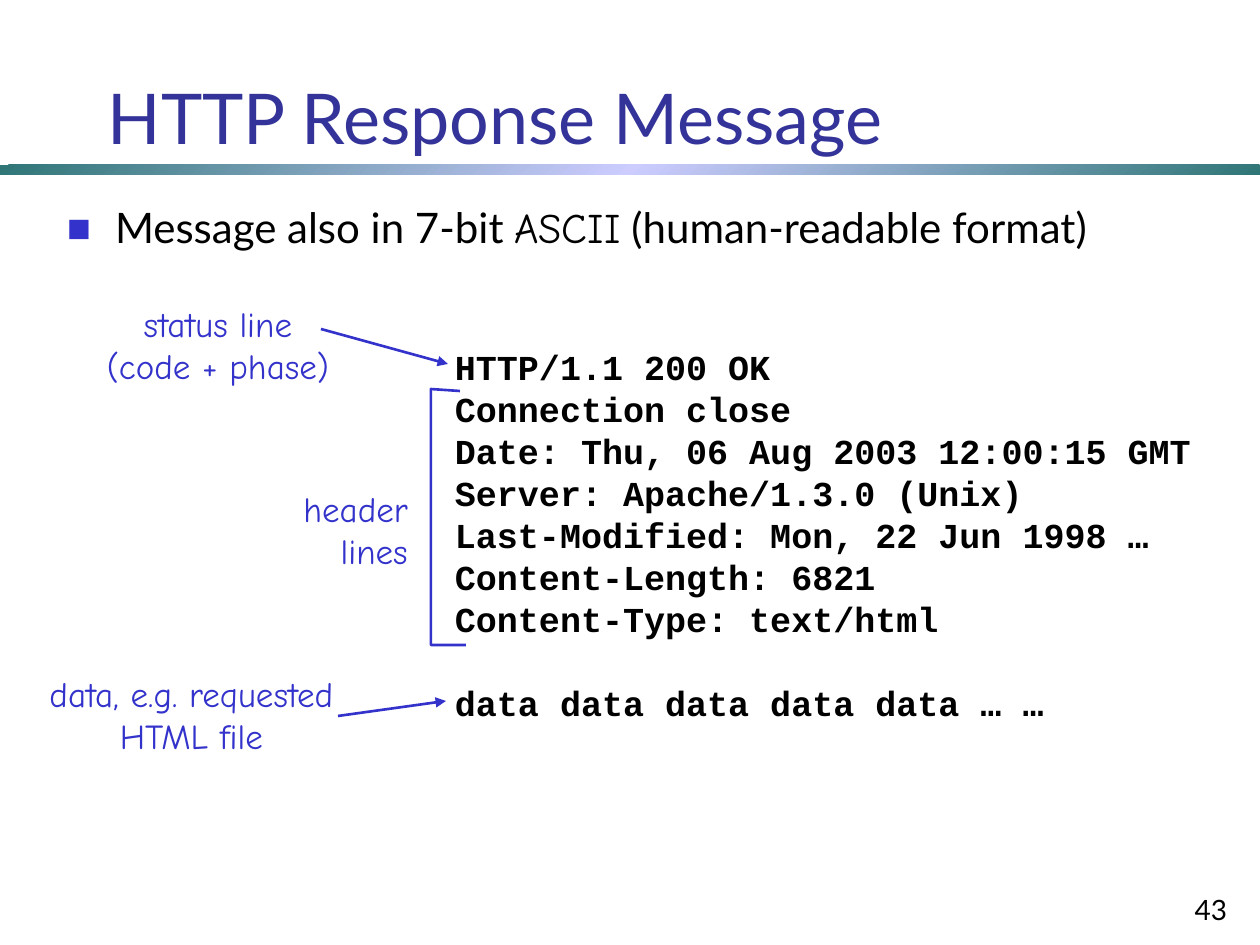
"""Build the slide that explains the parts of an HTTP response message."""
from copy import deepcopy

from lxml import etree
from pptx import Presentation
from pptx.dml.color import RGBColor
from pptx.enum.shapes import MSO_CONNECTOR, MSO_SHAPE
from pptx.enum.text import MSO_ANCHOR, PP_ALIGN
from pptx.oxml.ns import qn
from pptx.util import Emu, Pt

LEFT, CENTER, RIGHT = PP_ALIGN.LEFT, PP_ALIGN.CENTER, PP_ALIGN.RIGHT
TOP, BOTTOM = MSO_ANCHOR.TOP, MSO_ANCHOR.BOTTOM
RECTANGLE, STRAIGHT = MSO_SHAPE.RECTANGLE, MSO_CONNECTOR.STRAIGHT
PX = 914400 // 126
BLUE = "3333CC"

deck = Presentation()
deck.slide_width, deck.slide_height = Emu(9144000), Emu(6858000)
page = deck.slides.add_slide(deck.slide_layouts[6])


def color(value):
    return RGBColor.from_string(value)


def add_text(lines, place, font="Lato", size=20, ink="000000", bold=False,
             align=LEFT, anchor=TOP, wrap=True, inset=13, leading=None):
    """Add a text box; each line is a list of (text, font) pairs or a string."""
    box = page.shapes.add_textbox(*(Emu(value * PX) for value in place))
    frame = box.text_frame
    frame.word_wrap, frame.vertical_anchor = wrap, anchor
    frame.margin_left = frame.margin_right = Emu(inset * PX)
    for index, line in enumerate(lines):
        para = frame.paragraphs[0] if index == 0 else frame.add_paragraph()
        para.alignment = align
        if leading:
            para.line_spacing = Pt(leading)
        for text, face in [(line, font)] if isinstance(line, str) else line:
            span = para.add_run()
            span.text = text
            span.font.name, span.font.size = face, Pt(size)
            span.font.bold, span.font.color.rgb = bold, color(ink)
    return frame


bar = page.shapes.add_shape(RECTANGLE, 0, Emu(165 * PX), deck.slide_width, Emu(10 * PX))
bar.shadow.inherit = False
bar.line.fill.background()
bar.fill.gradient()
bar.fill.gradient_angle = 315
stop_list = bar._element.spPr.find(".//" + qn("a:gsLst"))
stop_list.append(deepcopy(stop_list[-1]))
for stop, position, shade in zip(bar.fill.gradient_stops, (0, 0.5, 1),
                                 ("2F7676", "CCCCFF", "2F7676")):
    stop.position, stop.color.rgb = position, color(shade)

add_text(["43"], (978, 869, 262, 63), size=16, align=RIGHT, anchor=BOTTOM)
add_text(["HTTP Response Message"], (95, 45, 1165, 120), size=40, ink="333399", anchor=BOTTOM)

summary = add_text([[("Message also in 7-bit ", "Lato"), ("ASCII", "Comic Neue"),
                     (" (human-readable format)", "Lato")]], (54, 195, 1181, 82), size=24)
bullet = summary.paragraphs[0]._p.get_or_add_pPr()
bullet.set("marL", str(48 * PX))
bullet.set("indent", str(-48 * PX))
tint = etree.SubElement(bullet, qn("a:buClr"))
etree.SubElement(tint, qn("a:srgbClr"), val=BLUE)
etree.SubElement(bullet, qn("a:buSzPct"), val="60000")
etree.SubElement(bullet, qn("a:buFont"), typeface="Lato")
etree.SubElement(bullet, qn("a:buChar"), char="■")

response = add_text([
    "HTTP/1.1 200 OK",
    "Connection close",
    "Date: Thu, 06 Aug 2003 12:00:15 GMT",
    "Server: Apache/1.3.0 (Unix)",
    "Last-Modified: Mon, 22 Jun 1998 …",
    "Content-Length: 6821",
    "Content-Type: text/html",
    "data data data data data … …",
], (442, 339, 781, 391), font="Courier New", bold=True, wrap=False, leading=24)
response.paragraphs[-1].space_before = Pt(24)

for lines, place, align, wrap, inset in (
    (["status line", "(code + phase)"], (89, 296, 258, 97), CENTER, False, 13),
    (["header", "lines"], (281, 481, 140, 97), RIGHT, False, 13),
    (["data, e.g. requested HTML file"], (20, 666, 343, 97), CENTER, True, 3),
):
    add_text(lines, place, font="Comic Neue", ink=BLUE, align=align, wrap=wrap,
             inset=inset, leading=24)

for ends in ((321, 329, 448, 364), (338, 716, 446, 701)):
    arrow = page.shapes.add_connector(STRAIGHT, *(Emu(value * PX) for value in ends))
    arrow.line.color.rgb, arrow.line.width = color(BLUE), Pt(1.5)
    etree.SubElement(arrow.line._get_or_add_ln(), qn("a:tailEnd"), type="triangle")
    etree.SubElement(arrow._element.spPr, qn("a:effectLst"))

outline = page.shapes.build_freeform(460, 391, scale=PX)
outline.add_line_segments([(431, 389), (431, 645), (466, 645)], close=False)
bracket = outline.convert_to_shape()
bracket.shadow.inherit = False
bracket.fill.background()
bracket.line.color.rgb, bracket.line.width = color(BLUE), Pt(1.5)

deck.save("out.pptx")
